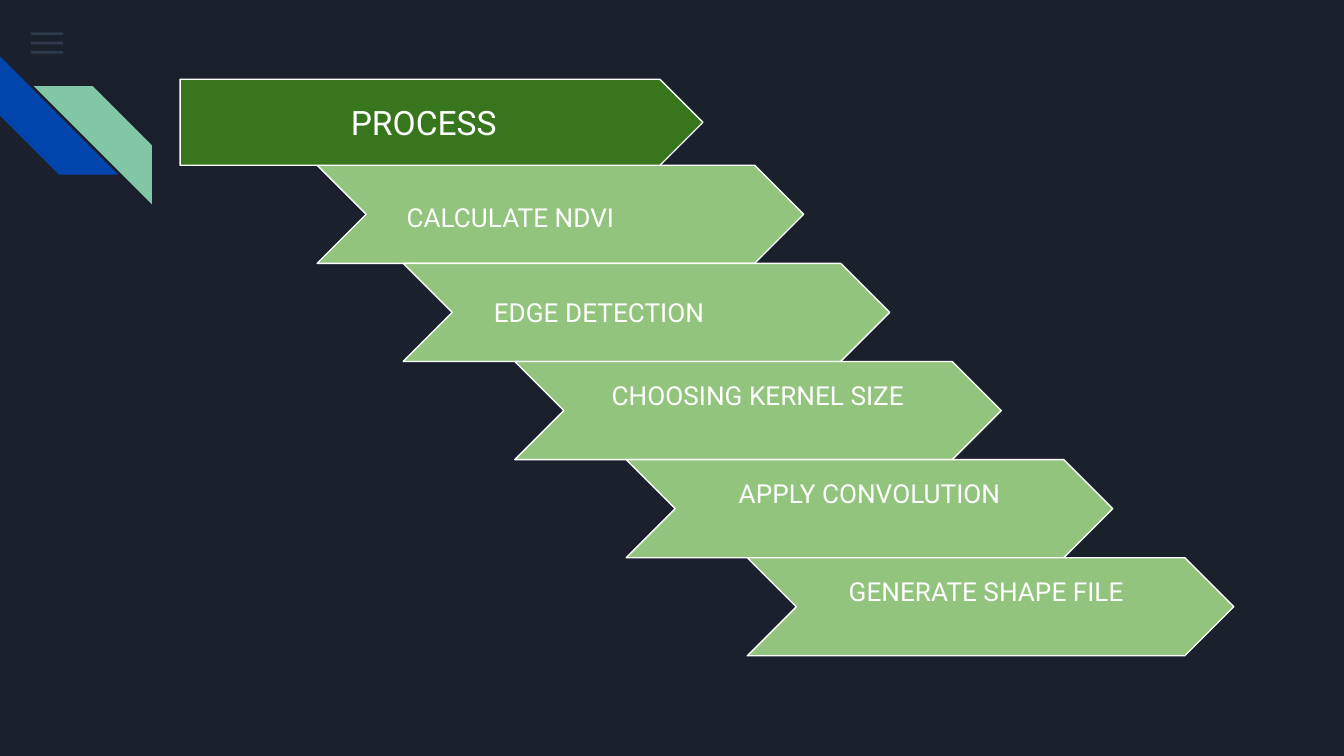
from dataclasses import dataclass

from lxml import etree
from pptx import Presentation
from pptx.dml.color import RGBColor
from pptx.enum.shapes import MSO_SHAPE
from pptx.enum.text import MSO_ANCHOR, PP_ALIGN
from pptx.oxml.ns import qn
from pptx.shapes.autoshape import Shape
from pptx.slide import Slide
from pptx.util import Inches, Pt

BAR = MSO_SHAPE.RECTANGLE
STRIPE = MSO_SHAPE.DIAGONAL_STRIPE
CHEVRON = MSO_SHAPE.CHEVRON
PENTAGON = MSO_SHAPE.PENTAGON
MIDDLE = MSO_ANCHOR.MIDDLE
LEFT = PP_ALIGN.LEFT
CENTER = PP_ALIGN.CENTER


@dataclass(frozen=True)
class Theme:
    background: str = "1B212C"
    menu: str = "55688B"
    blue: str = "0145AC"
    mint: str = "82C7A5"
    heading_fill: str = "38761D"
    step_fill: str = "93C47D"
    white: str = "FFFFFF"
    font: str = "Roboto"
    heading_size: int = 18
    step_size: int = 14
    outline: float = 0.75


@dataclass(frozen=True)
class Step:
    label: str
    left: float
    align: PP_ALIGN = LEFT
    inset_left: float = 0.1
    inset_bottom: float = 0.1
    line_spacing: float = 1.0


THEME = Theme()
SLIDE_WIDTH = Inches(10)
SLIDE_HEIGHT = SLIDE_WIDTH * 9 // 16
INSET = 0.1
RAISED = 0.33
STEP_TOP, STEP_WIDTH, STEP_HEIGHT = 1.23, 3.62, 0.73
STRIPE_SIZE = 0.88

STEPS = [
    Step("CALCULATE NDVI", 2.36, inset_left=0.3, line_spacing=1.15),
    Step("EDGE DETECTION", 3, inset_left=0.31),
    Step("CHOOSING KERNEL SIZE", 3.83, CENTER, inset_bottom=RAISED),
    Step("APPLY CONVOLUTION", 4.66, CENTER, inset_bottom=RAISED),
    Step("GENERATE SHAPE FILE", 5.56, inset_left=0.39, inset_bottom=RAISED),
]


def add_block(slide: Slide, kind: MSO_SHAPE, left: float, top: float,
              width: float, height: float, color: str) -> Shape:
    block = slide.shapes.add_shape(
        kind, Inches(left), Inches(top), Inches(width), Inches(height))
    block.shadow.inherit = False
    block.fill.solid()
    block.fill.fore_color.rgb = RGBColor.from_string(color)
    block.line.fill.background()
    return block


def add_menu_icon(slide: Slide) -> None:
    for row in range(3):
        bar = add_block(slide, BAR, 0.23, 0.24 + row * 0.07, 0.24, 0.02, THEME.menu)
        color = bar._element.spPr.find(qn("a:solidFill")).find(qn("a:srgbClr"))
        etree.SubElement(color, qn("a:alpha"), val="36000")


def add_stripes(slide: Slide) -> None:
    blue = add_block(slide, STRIPE, 0, 0.42, STRIPE_SIZE, STRIPE_SIZE, THEME.blue)
    blue.rotation = 270
    mint = add_block(slide, STRIPE, 0.25, 0.64, STRIPE_SIZE, STRIPE_SIZE, THEME.mint)
    mint._element.spPr.find(qn("a:xfrm")).set("flipH", "1")


def add_label(arrow: Shape, step: Step, size: int) -> None:
    arrow.line.color.rgb = RGBColor.from_string(THEME.white)
    arrow.line.width = Pt(THEME.outline)
    frame = arrow.text_frame
    frame.word_wrap = True
    frame.vertical_anchor = MIDDLE
    frame.margin_top = frame.margin_right = Inches(INSET)
    frame.margin_left = Inches(step.inset_left)
    frame.margin_bottom = Inches(step.inset_bottom)
    paragraph = frame.paragraphs[0]
    paragraph.text = step.label
    paragraph.alignment = step.align
    paragraph.line_spacing = step.line_spacing
    paragraph.font.name = THEME.font
    paragraph.font.size = Pt(size)
    paragraph.font.color.rgb = RGBColor.from_string(THEME.white)


def main() -> None:
    deck = Presentation()
    deck.slide_width, deck.slide_height = SLIDE_WIDTH, SLIDE_HEIGHT
    slide = deck.slides.add_slide(deck.slide_layouts[6])
    slide.background.fill.solid()
    slide.background.fill.fore_color.rgb = RGBColor.from_string(THEME.background)

    add_menu_icon(slide)
    add_stripes(slide)

    for row, step in enumerate(STEPS):
        arrow = add_block(slide, CHEVRON, step.left, STEP_TOP + row * STEP_HEIGHT,
                          STEP_WIDTH, STEP_HEIGHT, THEME.step_fill)
        add_label(arrow, step, THEME.step_size)

    heading = Step("PROCESS", 1.34, inset_left=1.27)
    banner = add_block(slide, PENTAGON, heading.left, 0.59, 3.89, 0.64,
                       THEME.heading_fill)
    add_label(banner, heading, THEME.heading_size)

    deck.save("out.pptx")


if __name__ == "__main__":
    main()
